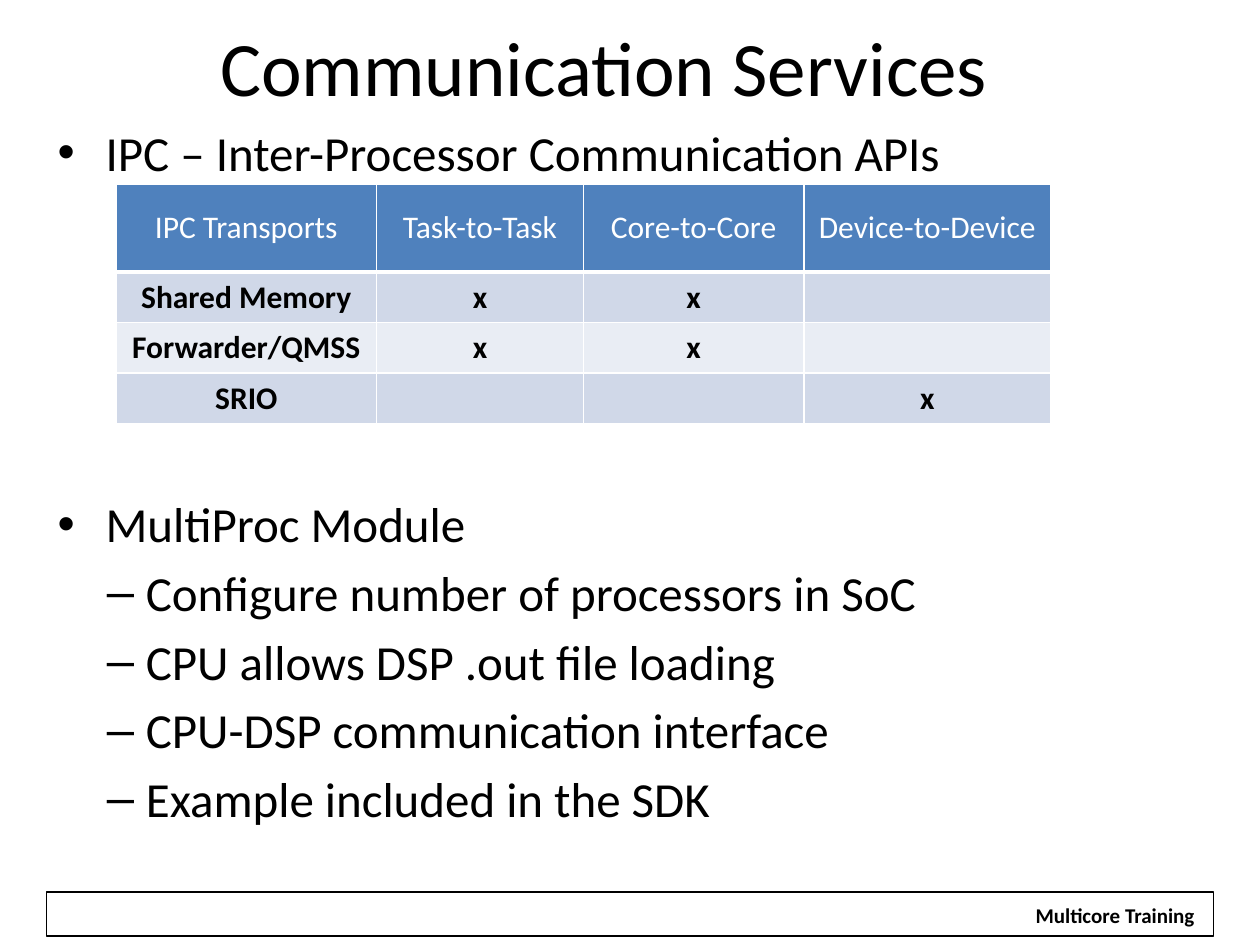
import pptx
import pptx.util
import pptx.dml.color
import pptx.enum.shapes
import pptx.enum.text
import pptx.oxml
import pptx.oxml.ns
import lxml.etree
from pptx.util import Inches

ALIGN = pptx.enum.text.PP_ALIGN
ANCHOR = pptx.enum.text.MSO_ANCHOR


def rgb(value):
    return pptx.dml.color.RGBColor.from_string(value)


def put_text(p, text, size=28, color="000000", bold=False, align=ALIGN.LEFT,
             bullet=None, indent=0, hanging=0, before=0):
    pPr = p._p.get_or_add_pPr()
    if bullet:
        pPr.set("marL", str(Inches(indent)))
        pPr.set("indent", str(-Inches(hanging)))
        font = lxml.etree.SubElement(pPr, pptx.oxml.ns.qn("a:buFont"))
        font.set("typeface", "Arial")
        char = lxml.etree.SubElement(pPr, pptx.oxml.ns.qn("a:buChar"))
        char.set("char", bullet)
    p.alignment = align
    p.space_before = pptx.util.Pt(before)
    r = p.add_run()
    r.text = text
    r.font.name = "Calibri"
    r.font.size = pptx.util.Pt(size)
    r.font.bold = bold
    r.font.color.rgb = rgb(color)


prs = pptx.Presentation()
prs.slide_width, prs.slide_height = Inches(10), Inches(7.5)
s = prs.slides.add_slide(prs.slide_layouts[6])

# Footer frame and label
sp = s.shapes.add_shape(pptx.enum.shapes.MSO_SHAPE.RECTANGLE,
                        Inches(0.37), Inches(7.08), Inches(9.26), Inches(0.35))
sp.shadow.inherit = False
sp.fill.background()
sp.line.color.rgb = rgb("000000")
sp.line.width = pptx.util.Pt(0.75)

sp = s.shapes.add_shape(pptx.enum.shapes.MSO_SHAPE.RECTANGLE,
                        Inches(8.11), Inches(7.11), Inches(1.48), Inches(0.3))
sp.shadow.inherit = False
sp.fill.solid()
sp.fill.fore_color.rgb = rgb("FFFFFF")
sp.line.fill.background()
tf = sp.text_frame
tf.word_wrap = False
put_text(tf.paragraphs[0], "Multicore Training", size=12, bold=True, align=ALIGN.CENTER)

# Title
tf = s.shapes.add_textbox(Inches(0.17), Inches(0.08), Inches(9.25), Inches(0.89)).text_frame
tf.word_wrap = True
tf.vertical_anchor = ANCHOR.MIDDLE
put_text(tf.paragraphs[0], "Communication Services", size=44, align=ALIGN.CENTER)

# Bullet lists above and below the table: (top, height, heading, sub-items)
sections = [
    (0.92, 0.54, "IPC – Inter-Processor Communication APIs", []),
    (3.87, 3.05, "MultiProc Module", [
        "Configure number of processors in SoC",
        "CPU allows DSP .out file loading",
        "CPU-DSP communication interface",
        "Example included in the SDK",
    ]),
]
for top, height, heading, items in sections:
    tf = s.shapes.add_textbox(Inches(0.36), Inches(top), Inches(9.26), Inches(height)).text_frame
    tf.word_wrap = True
    put_text(tf.paragraphs[0], heading, bullet="•", indent=0.38, hanging=0.38)
    for item in items:
        put_text(tf.add_paragraph(), item, bullet="–", indent=0.7, hanging=0.31, before=5.6)

# Transport table
rows = [
    ["IPC Transports", "Task-to-Task", "Core-to-Core", "Device-to-Device"],
    ["Shared Memory", "x", "x", ""],
    ["Forwarder/QMSS", "x", "x", ""],
    ["SRIO", "", "", "x"],
]
widths = [2.07, 1.64, 1.75, 1.96]
heights = [0.7, 0.4, 0.4, 0.4]
fills = ["4F81BD", "D0D8E8", "E9EDF4", "D0D8E8"]

table = s.shapes.add_table(len(rows), len(widths), Inches(0.92), Inches(1.46),
                           Inches(sum(widths)), Inches(sum(heights))).table
for column, width in zip(table.columns, widths):
    column.width = Inches(width)
for i, values in enumerate(rows):
    header = i == 0
    table.rows[i].height = Inches(heights[i])
    for j, value in enumerate(values):
        cell = table.cell(i, j)
        cell.vertical_anchor = ANCHOR.MIDDLE
        # White borders, heavier at the foot of the header
        tcPr = cell._tc.get_or_add_tcPr()
        for side in ("L", "R", "T", "B"):
            weight = 3 if header and side == "B" else 1
            tcPr.append(pptx.oxml.parse_xml(
                f'<a:ln{side} {pptx.oxml.ns.nsdecls("a")} w="{pptx.util.Pt(weight)}">'
                '<a:solidFill><a:srgbClr val="FFFFFF"/></a:solidFill>'
                f'</a:ln{side}>'))
        cell.fill.solid()
        cell.fill.fore_color.rgb = rgb(fills[i])
        if value:
            put_text(cell.text_frame.paragraphs[0], value, size=18, bold=not header,
                     color="FFFFFF" if header else "000000", align=ALIGN.CENTER)

prs.save("out.pptx")
